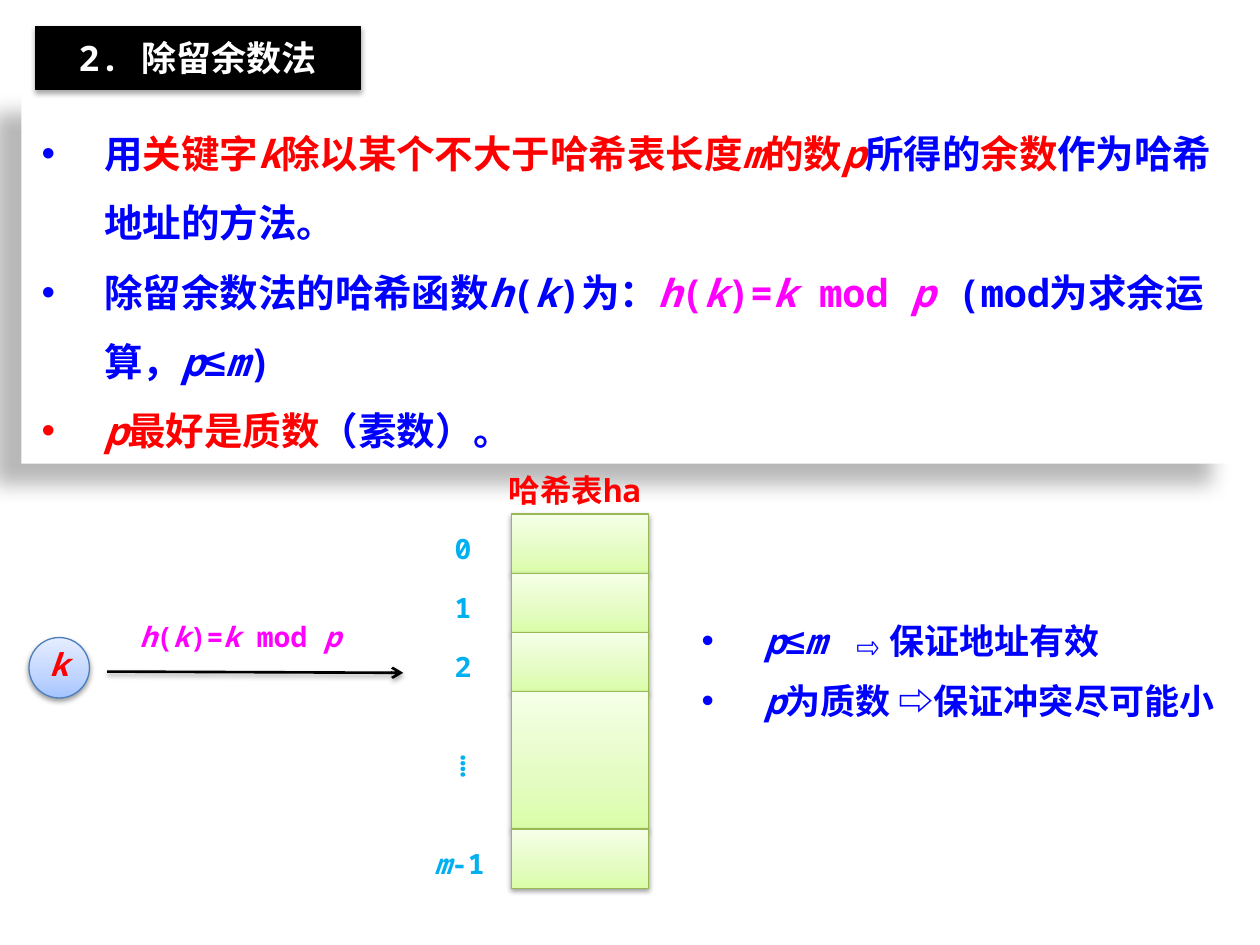
"""Build a slide on the division-remainder hash method."""
from lxml.etree import SubElement
from pptx import Presentation
from pptx.dml.color import RGBColor
from pptx.enum.shapes import MSO_CONNECTOR as Connector, MSO_SHAPE as Shape
from pptx.enum.text import MSO_ANCHOR as Anchor, MSO_AUTO_SIZE as AutoSize, PP_ALIGN as Align
from pptx.oxml.ns import qn
from pptx.util import Inches, Pt

THEME = {
    "font": "Noto Sans Mono", "symbol_font": "Arial",
    "blue": "0000FF", "red": "FF0000", "pink": "FF00FF", "cyan": "00B0F0",
    "white": "FFFFFF", "black": "000000",
    "green_edge": "98B955", "blue_edge": "4B7EBC",
    "green_stops": [(0, "DAFDA7"), (35, "E4FCC2"), (100, "F5FFE7")],
    "blue_stops": [(0, "A4C4FF"), (35, "BFD4FF"), (100, "E6EEFF")],
    "body": 22, "heading": 20, "caption": 18, "label": 16,
}
PANEL_SHADOW = {"alpha": 28, "blur": 11.8, "dist": 19.7, "angle": 141}
TITLE_SHADOW = {"alpha": 35, "blur": 3.1, "dist": 1.8, "angle": 90}
SOFT_SHADOW = {"alpha": 38, "blur": 3.1, "dist": 1.6, "angle": 90}

# Underscores switch italics on and off inside a span.
DEFINITION = [
    [("用", "blue"), ("关键字_k_除以某个不大于哈希表长度_m_的数_p_", "red"), ("所得的", "blue"),
     ("余数", "red"), ("作为哈希地址的方法。", "blue")],
    [("除留余数法的哈希函数_h_(_k_)为：", "blue"), ("_h_(_k_)=_k_ mod _p _", "pink"),
     ("(mod为求余运算，_p_≤_m_)", "blue")],
    [("_p_最好是质数", "red"), ("（素数）。", "blue")],
]
REASONS = [
    [("_p_≤_m _⇨保证地址有效", "blue")],
    [("_p_为质数 ⇨保证冲突尽可能小", "blue")],
]
TITLE = [[("2. 除留余数法", "white")]]
KEY = [[("_k_", "red")]]
FORMULA = [[("_h_(_k_)=_k_ mod _p_", "pink")]]
TABLE_NAME = [[("哈希表ha", "red")]]
SLOTS = [("0", 0.47, 3.51, 0.47), ("1", 0.47, 3.51, 0.47), ("2", 0.47, 3.51, 0.47),
         ("⁞", 1.09, 3.51, 0.47), ("_m_-1", 0.47, 3.35, 0.7)]
TABLE_LEFT, TABLE_TOP, TABLE_WIDTH = 4.06, 4.08, 1.09
LABEL_HEIGHT, LABEL_DROP = 0.37, 0.04


def rgb(name):
    return RGBColor.from_string(THEME[name])


def apply(target, values):
    for name, value in values.items():
        setattr(target, name, value)


def add_bullet(para):
    props = para._p.get_or_add_pPr()
    props.set("marL", str(Inches(0.5)))
    props.set("indent", str(-Inches(0.5)))
    SubElement(props, qn("a:buFont"), typeface=THEME["symbol_font"])
    SubElement(props, qn("a:buChar"), char="•")


def write(box, paras, size, bullet=False, gap=0, frame_format=None, para_format=None):
    frame = box.text_frame
    apply(frame, {"word_wrap": True, "auto_size": AutoSize.SHAPE_TO_FIT_TEXT,
                  "vertical_anchor": Anchor.TOP, **(frame_format or {})})
    for index, spans in enumerate(paras):
        para = frame.add_paragraph() if index else frame.paragraphs[0]
        apply(para, {"alignment": Align.LEFT, **(para_format or {})})
        if index and gap:
            para.space_before = Pt(gap)
        if bullet:
            add_bullet(para)
        for text, colour in spans:
            for part, piece in enumerate(text.replace("≤", "≤").split("_")):
                if piece:
                    span = para.add_run()
                    span.text = piece
                    font = THEME["symbol_font" if piece == "≤" else "font"]
                    apply(span.font, {"name": font, "size": Pt(size), "bold": True,
                                      "italic": part % 2 == 1})
                    span.font.color.rgb = rgb(colour)


def add_text(page, place, paras, size, **options):
    box = page.shapes.add_textbox(*map(Inches, place))
    write(box, paras, size, **options)


def cast_shadow(effects, alpha, blur, dist, angle):
    shadow = SubElement(effects, qn("a:outerShdw"), blurRad=str(Pt(blur)), dist=str(Pt(dist)),
                        dir=str(angle * 60000), algn="ctr", rotWithShape="0")
    colour = SubElement(shadow, qn("a:srgbClr"), val=THEME["black"])
    SubElement(colour, qn("a:alpha"), val=str(alpha * 1000))


def add_box(page, kind, place, fill, edge, shadow):
    box = page.shapes.add_shape(kind, *map(Inches, place))
    if isinstance(THEME[fill], list):
        box.fill.gradient()
        box.fill.gradient_angle = 90
        stops = box._element.spPr.find(".//" + qn("a:gsLst"))
        stops.clear()
        for position, colour in THEME[fill]:
            stop = SubElement(stops, qn("a:gs"), pos=str(position * 1000))
            SubElement(stop, qn("a:srgbClr"), val=colour)
    else:
        box.fill.solid()
        box.fill.fore_color.rgb = rgb(fill)
    if edge:
        box.line.color.rgb = rgb(edge)
        box.line.width = Pt(0.75)
    else:
        box.line.fill.background()
    box.shadow.inherit = False
    cast_shadow(box._element.spPr.find(qn("a:effectLst")), **shadow)
    return box


def add_arrow(page, start, end):
    arrow = page.shapes.add_connector(Connector.STRAIGHT, *map(Inches, start + end))
    arrow.line.color.rgb = rgb("black")
    arrow.line.width = Pt(1.5)
    SubElement(arrow.line._get_or_add_ln(), qn("a:tailEnd"), type="arrow")
    cast_shadow(SubElement(arrow._element.spPr, qn("a:effectLst")), **SOFT_SHADOW)


def add_hash_table(page):
    top = TABLE_TOP
    for label, height, left, width in SLOTS:
        add_box(page, Shape.RECTANGLE, (TABLE_LEFT, top, TABLE_WIDTH, height),
                "green_stops", "green_edge", SOFT_SHADOW)
        label_top = top + (height - LABEL_HEIGHT) / 2 + LABEL_DROP
        add_text(page, (left, label_top, width, LABEL_HEIGHT), [[(label, "cyan")]], THEME["label"])
        top += height
    add_text(page, (3.94, 3.69, 1.64, 0.4), TABLE_NAME, THEME["caption"])


def main():
    deck = Presentation()
    apply(deck, {"slide_width": Inches(10), "slide_height": Inches(7.5)})
    page = deck.slides.add_slide(deck.slide_layouts[6])

    panel = add_box(page, Shape.RECTANGLE, (0.17, 0.73, 9.66, 2.95), "white", None, PANEL_SHADOW)
    write(panel, DEFINITION, THEME["body"], bullet=True, para_format={"line_spacing": 1.5},
          frame_format={"margin_left": Inches(0.16), "margin_top": Inches(0.12),
                        "margin_bottom": Inches(0.12)})
    title = add_box(page, Shape.RECTANGLE, (0.28, 0.21, 2.58, 0.5), "black", "black", TITLE_SHADOW)
    write(title, TITLE, THEME["heading"], para_format={"alignment": Align.CENTER},
          frame_format={"margin_top": Inches(0.08), "margin_bottom": Inches(0.08)})

    add_hash_table(page)

    key = add_box(page, Shape.OVAL, (0.23, 5.06, 0.48, 0.48), "blue_stops", "blue_edge", SOFT_SHADOW)
    write(key, KEY, THEME["caption"],
          para_format={"alignment": Align.CENTER, "line_spacing": 0.8},
          frame_format={"word_wrap": False, "auto_size": AutoSize.NONE,
                        "vertical_anchor": Anchor.MIDDLE})
    add_arrow(page, (0.85, 5.33), (3.2, 5.34))
    add_text(page, (1.01, 4.87, 1.88, 0.37), FORMULA, THEME["label"])
    add_text(page, (5.47, 4.87, 5.25, 0.94), REASONS, THEME["heading"], bullet=True, gap=10)
    deck.save("out.pptx")


if __name__ == "__main__":
    main()
